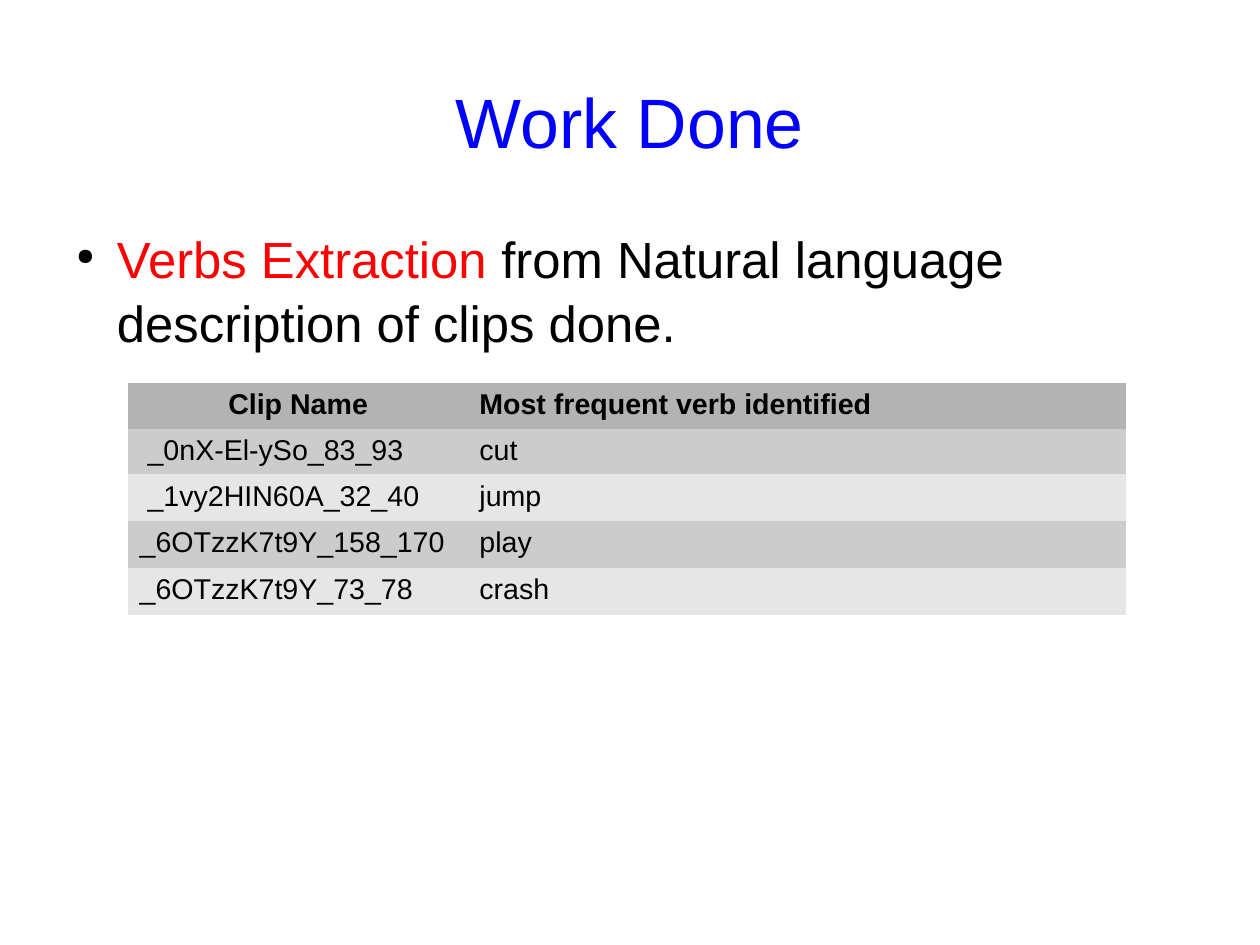
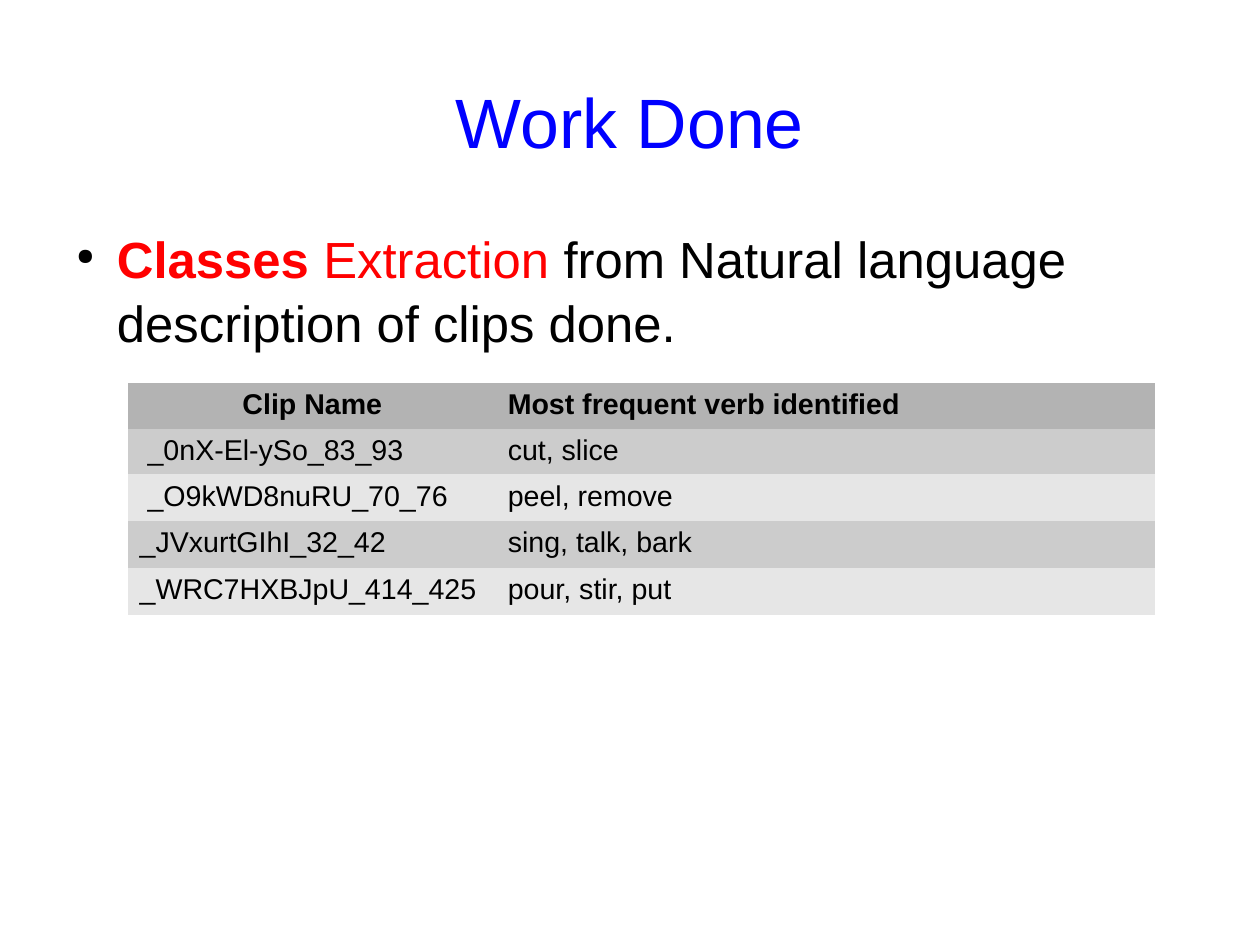
from dataclasses import dataclass

from lxml.etree import SubElement
from pptx import Presentation
from pptx.dml.color import RGBColor
from pptx.enum.text import MSO_ANCHOR, PP_ALIGN
from pptx.oxml.ns import qn
from pptx.util import Cm, Pt


@dataclass(frozen=True)
class Theme:
    font: str = "Arial"
    blue: str = "0000FF"
    red: str = "FF0000"
    black: str = "000000"
    head: str = "B3B3B3"
    bands: tuple = ("CCCCCC", "E6E6E6")
    title: int = 44
    body: int = 32
    cell: int = 18
    plain: str = "{2D5ABB26-0587-4C30-8999-92F81FD0307C}"  # no style, no grid


THEME = Theme()
HEADS = ("Clip Name", "Most frequent verb identified")
ROWS = (0.97, 0.97, 1.04, 1.04, 1.04)

# Each slide: red lead runs (text, bold), first column width, table rows
SLIDES = (
    ([("Verbs Extraction", False)], 7.55, [
        (" _0nX-El-ySo_83_93", "cut"),
        (" _1vy2HIN60A_32_40", "jump"),
        ("_6OTzzK7t9Y_158_170", "play"),
        ("_6OTzzK7t9Y_73_78", "crash"),
    ]),
    ([("Classes", True), (" Extraction", False)], 8.18, [
        (" _0nX-El-ySo_83_93", "cut, slice"),
        (" _O9kWD8nuRU_70_76", "peel, remove"),
        ("_JVxurtGIhI_32_42", "sing, talk, bark"),
        ("_WRC7HXBJpU_414_425", "pour, stir, put"),
    ]),
)


# Text
def write(para, text, size, color=THEME.black, bold=False, align=None):
    run = para.add_run()
    run.text = text
    font = run.font
    font.name, font.size, font.bold = THEME.font, Pt(size), bold
    font.color.rgb = RGBColor.from_string(color)
    if align is not None:
        para.alignment = align


def add_box(slide, left, top, width, height, inset, anchor=MSO_ANCHOR.TOP):
    shape = slide.shapes.add_textbox(Cm(left), Cm(top), Cm(width), Cm(height))
    frame = shape.text_frame
    frame.word_wrap = True
    frame.vertical_anchor = anchor
    frame.margin_left = frame.margin_right = frame.margin_bottom = 0
    frame.margin_top = Cm(inset)
    return frame.paragraphs[0]


def add_dot(para):
    props = para._p.get_or_add_pPr()
    props.set("marL", str(Cm(1.2)))
    props.set("indent", str(Cm(-0.9)))
    tint = SubElement(props, qn("a:buClr"))
    SubElement(tint, qn("a:srgbClr")).set("val", THEME.black)
    SubElement(props, qn("a:buSzPct")).set("val", "45000")
    SubElement(props, qn("a:buChar")).set("char", "●")


# Slide parts
def add_title(slide, text):
    para = add_box(slide, 1.4, 0.84, 25.2, 3.5, 0.2, MSO_ANCHOR.MIDDLE)
    write(para, text, THEME.title, color=THEME.blue, align=PP_ALIGN.CENTER)


def add_point(slide, lead, rest):
    para = add_box(slide, 1.4, 4.9, 24.64, 12.17, 0.1)
    add_dot(para)
    para.line_spacing = 1.05
    para.space_after = Pt(14.2)
    for text, bold in lead:
        write(para, text, THEME.body, color=THEME.red, bold=bold)
    write(para, rest, THEME.body)


def add_grid(slide, first, rows):
    data = [HEADS, *rows]
    widths = (first, 14.63)
    table = slide.shapes.add_table(
        len(data), len(widths), Cm(2.85), Cm(8.51),
        Cm(sum(widths)), Cm(sum(ROWS))).table
    table.first_row = table.horz_banding = False
    table._tbl.tblPr.find(qn("a:tableStyleId")).text = THEME.plain
    for col, width in zip(table.columns, widths):
        col.width = Cm(width)
    for i, (row, high, line) in enumerate(zip(table.rows, ROWS, data)):
        row.height = Cm(high)
        top = i == 0
        fill = THEME.head if top else THEME.bands[(i - 1) % 2]
        for j, (cell, text) in enumerate(zip(row.cells, line)):
            cell.fill.solid()
            cell.fill.fore_color.rgb = RGBColor.from_string(fill)
            align = PP_ALIGN.CENTER if top and j == 0 else PP_ALIGN.LEFT
            write(cell.text_frame.paragraphs[0], text, THEME.cell,
                  bold=top, align=align)


def main():
    deck = Presentation()
    deck.slide_width, deck.slide_height = Cm(28), Cm(21)
    for lead, first, rows in SLIDES:
        slide = deck.slides.add_slide(deck.slide_layouts[6])
        add_title(slide, "Work Done")
        add_point(slide, lead,
                  " from Natural language description of clips done.")
        add_grid(slide, first, rows)
    deck.save("out.pptx")


if __name__ == "__main__":
    main()
